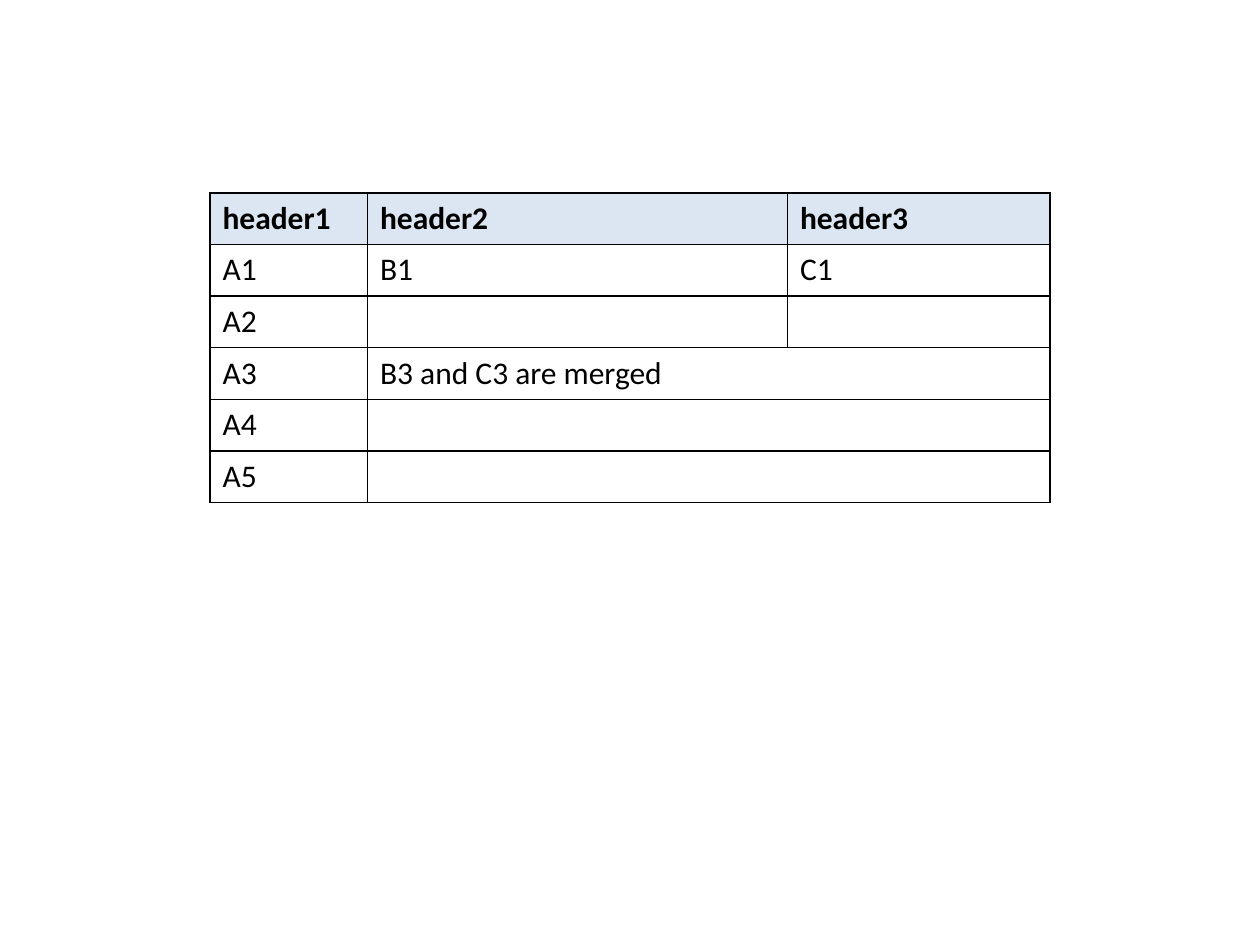
"""Build a slide with one table that has merged cells."""
from lxml import etree
from pptx import Presentation
from pptx.dml.color import RGBColor
from pptx.oxml.ns import qn
from pptx.util import Inches, Pt

COLORS = {"text": "000000", "border": "000000", "header": "DCE6F2"}
FONT = "Calibri"
UNIT = Inches(10) // 24
COLUMNS = [3, 8, 5]
ROW_HEIGHT = Inches(0.41)
ROWS = [
    ["header1", "header2", "header3"],
    ["A1", "B1", "C1"],
    ["A2", "", ""],
    ["A3", "B3 and C3 are merged"],
    ["A4", ""],
    ["A5", ""],
]


def set_text(cell, text, size=18, bold=False, color=COLORS["text"]):
    p = cell.text_frame.paragraphs[0]
    p.font.size = Pt(size)
    if text:
        r = p.add_run()
        r.text = text
        r.font.name = FONT
        r.font.size = Pt(size)
        r.font.bold = bold
        r.font.color.rgb = RGBColor.from_string(color)


def set_borders(cell, color=COLORS["border"], width=1):
    tcPr = cell._tc.get_or_add_tcPr()
    for i, side in enumerate(("a:lnL", "a:lnR", "a:lnT", "a:lnB")):
        ln = etree.Element(qn(side), w=str(Pt(width)))
        fill = etree.SubElement(ln, qn("a:solidFill"))
        etree.SubElement(fill, qn("a:srgbClr"), val=color)
        tcPr.insert(i, ln)


prs = Presentation()
prs.slide_width, prs.slide_height = Inches(10), Inches(7.5)
s = prs.slides.add_slide(prs.slide_layouts[6])

frame = s.shapes.add_table(
    len(ROWS), len(COLUMNS), 4 * UNIT, Inches(1.53),
    sum(COLUMNS) * UNIT, len(ROWS) * ROW_HEIGHT,
)
table = frame.table
table.horz_banding = False
for column, units in zip(table.columns, COLUMNS):
    column.width = units * UNIT

for i, texts in enumerate(ROWS):
    table.rows[i].height = ROW_HEIGHT
    if len(texts) < len(COLUMNS):
        table.cell(i, 1).merge(table.cell(i, 2))
    for j in range(len(COLUMNS)):
        cell = table.cell(i, j)
        if i == 0:
            cell.fill.solid()
            cell.fill.fore_color.rgb = RGBColor.from_string(COLORS["header"])
        else:
            cell.fill.background()
        set_borders(cell)
        if j < len(texts):
            set_text(cell, texts[j], bold=i == 0)

prs.save("out.pptx")
